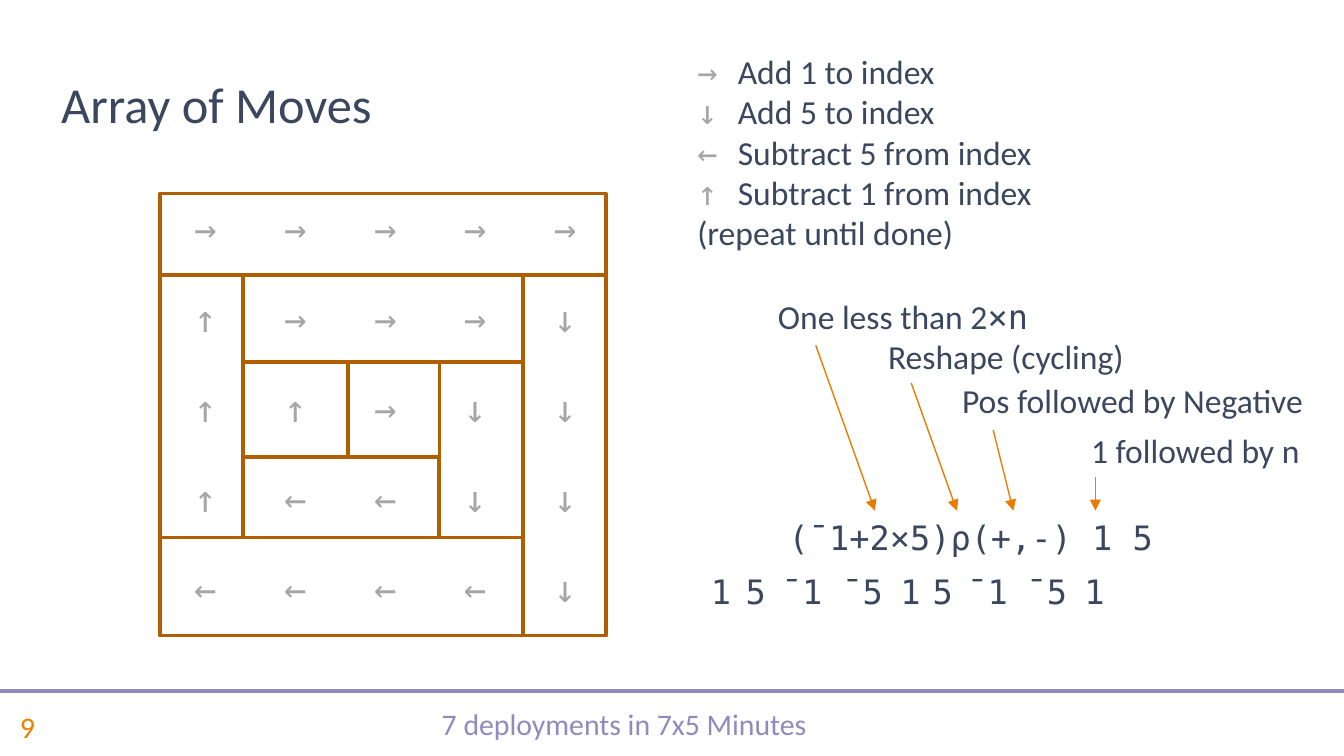
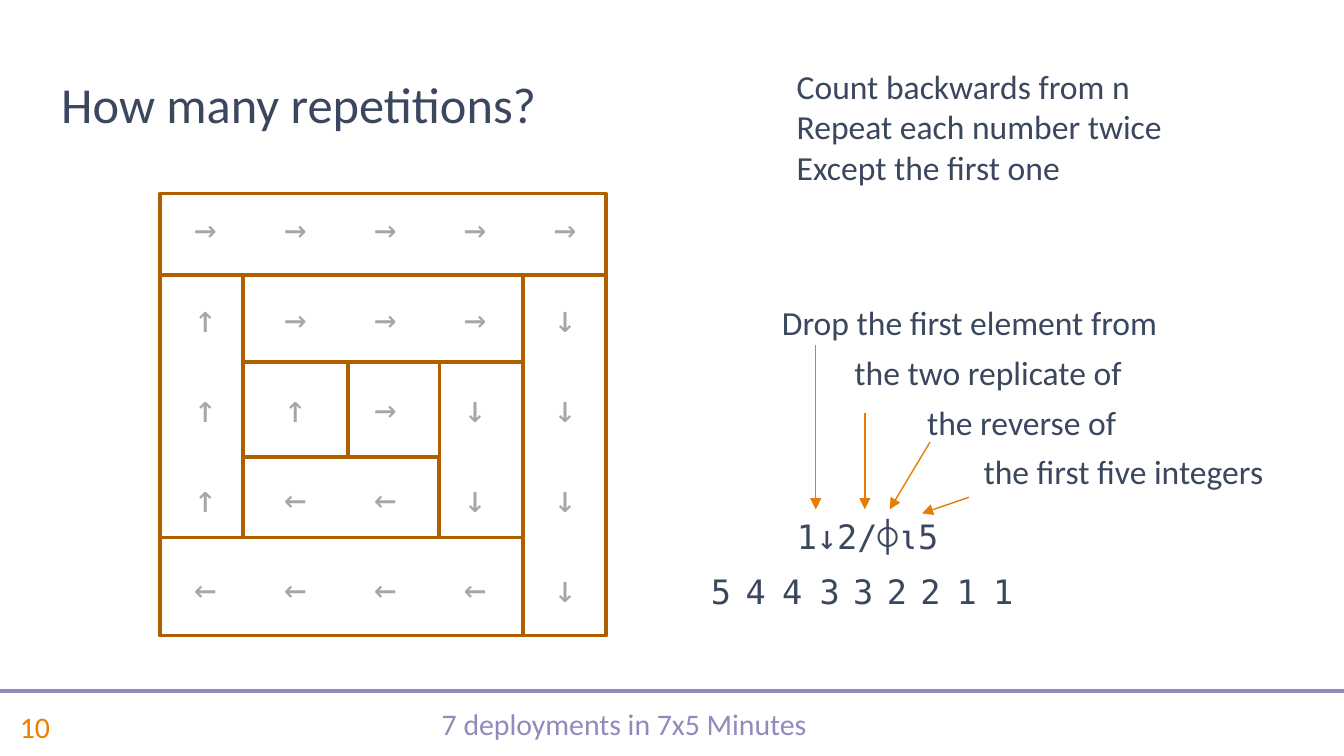
"""Build two slides on walking a spiral array: the moves and their repetitions."""
from pptx import Presentation, util as u
from pptx.dml.color import RGBColor
from pptx.enum import shapes, text
from pptx.oxml.ns import qn
from lxml import etree

NAVY = RGBColor(0x3B, 0x47, 0x5E)
GREY = RGBColor(0xA6, 0xA6, 0xA6)
BROWN = RGBColor(0xAF, 0x5E, 0x00)
ORANGE = RGBColor(0xE8, 0x7C, 0x00)
PAGE_ORANGE = RGBColor(0xED, 0x7F, 0x00)
VIOLET = RGBColor(0x92, 0x8A, 0xBD)

WIDTH = u.Inches(10)
HEIGHT = u.Emu(WIDTH * 9 // 16)
CELL = WIDTH / 100
MONO, SANS = "DejaVu Sans Mono", "Calibri"
FOOTER = "7 deployments in 7x5 Minutes"

BODY = {"name": SANS, "size": u.Pt(18), "color": NAVY}
CODE = {**BODY, "name": MONO}
SYMBOL = {**CODE, "color": GREY}
MOVE = {**SYMBOL, "size": u.Pt(20)}
TITLE = {**BODY, "size": u.Pt(27)}
FOOT = {"name": SANS, "size": u.Pt(16), "color": VIOLET}
PAGE = {**FOOT, "color": PAGE_ORANGE}

MOVES = ["→→→→→", "↑→→→↓", "↑↑→↓↓", "↑←←↓↓", "←←←←↓"]
MOVE_PITCH, MOVE_LINE = 6.69, u.Pt(24.1)
EDGES_X = [11.9, 18.1, 25.9, 32.7, 38.9, 45.1]
EDGES_Y = [14.4, 20.45, 26.95, 34, 40, 47.3]
SPIRAL = [(0, 0, 5, 1), (0, 4, 4, 5), (4, 1, 5, 5), (0, 1, 1, 4), (1, 1, 4, 2),
          (3, 2, 4, 4), (1, 2, 2, 3), (1, 3, 3, 4), (2, 2, 3, 3)]

RESULT_ROW, CAPTION_WIDTH, LINE_HEIGHT = 42, 39.3, 4


def grid(*cells):
    """Convert grid columns or rows to lengths."""
    return [u.Emu(round(cell * CELL)) for cell in cells]


def apply(target, **values):
    """Set each given attribute on the target."""
    for name, value in values.items():
        setattr(target, name, value)


def style(font, look):
    """Give a font its typeface, size and colour."""
    apply(font, name=look["name"], size=look["size"])
    font.color.rgb = look["color"]


def add_words(paragraph, words, look):
    """Append styled words, turning each newline into a line break."""
    for index, part in enumerate(words.split("\n")):
        if index:
            paragraph.add_line_break()
        if part:
            run = paragraph.add_run()
            run.text = part
            style(run.font, look)


def write(slide, at, lines, look=BODY, **frame_format):
    """Add a text box; a line is a string or a list of (string, look) pieces."""
    frame = slide.shapes.add_textbox(*grid(*at)).text_frame
    apply(frame, **{"word_wrap": True,
                    "auto_size": text.MSO_AUTO_SIZE.SHAPE_TO_FIT_TEXT, **frame_format})
    for index, line in enumerate(lines):
        paragraph = frame.add_paragraph() if index else frame.paragraphs[0]
        for words, piece_look in [(line, look)] if isinstance(line, str) else line:
            add_words(paragraph, words, piece_look)
    return frame


def draw_line(slide, start, end, color, weight, arrow=False):
    """Add a straight line, with an arrowhead at its end on request."""
    connector = slide.shapes.add_connector(
        shapes.MSO_CONNECTOR.STRAIGHT, *grid(*start, *end))
    connector.line.color.rgb = color
    connector.line.width = u.Pt(weight)
    if arrow:
        etree.SubElement(connector.line._get_or_add_ln(), qn("a:tailEnd"), type="triangle")
    etree.SubElement(connector._element.spPr, qn("a:effectLst"))


def add_page(deck, heading, number):
    """Add a slide with its title, footer rule, footer and page number."""
    slide = deck.slides.add_slide(deck.slide_layouts[5])
    title = slide.shapes.title
    left, top, width, height = grid(3.55, 2.95, 76.6, 7.5)
    apply(title, left=left, top=top, width=width, height=height)
    title.text_frame.text = heading
    apply(title.text_frame, vertical_anchor=text.MSO_ANCHOR.BOTTOM,
          auto_size=text.MSO_AUTO_SIZE.NONE)
    paragraph = title.text_frame.paragraphs[0]
    paragraph.alignment = text.PP_ALIGN.LEFT
    style(paragraph.runs[0].font, TITLE)

    band = {"vertical_anchor": text.MSO_ANCHOR.MIDDLE,
            "auto_size": text.MSO_AUTO_SIZE.NONE}
    footer = write(slide, (7.8, 51.9, 77.3, 4.35), [FOOTER], FOOT, **band)
    apply(footer.paragraphs[0], alignment=text.PP_ALIGN.CENTER, line_spacing=0.8)
    write(slide, (0.5, 51.9, 7.3, 4.35), [str(number)], PAGE, **band)
    draw_line(slide, (0, 51.4), (100, 51.4), VIOLET, 2.25)
    return slide


def add_spiral(slide):
    """Draw the array of moves and the frames around its spiral arms."""
    margin_x, margin_y = grid(0.75, 0.4)
    moves = write(slide, (13.7, 14.85, 37.7, 34.4), ["\t".join(row) for row in MOVES], MOVE,
                  auto_size=text.MSO_AUTO_SIZE.NONE, margin_left=margin_x,
                  margin_right=margin_x, margin_top=margin_y, margin_bottom=margin_y)
    for index, paragraph in enumerate(moves.paragraphs):
        stops = etree.SubElement(paragraph._p.get_or_add_pPr(), qn("a:tabLst"))
        for stop in grid(*(MOVE_PITCH * column for column in range(1, 5))):
            etree.SubElement(stops, qn("a:tab"), pos=str(stop), algn="l")
        paragraph.line_spacing = MOVE_LINE
        if index:
            paragraph.space_before = MOVE_LINE
    for x1, y1, x2, y2 in SPIRAL:
        left, top = EDGES_X[x1], EDGES_Y[y1]
        arm = slide.shapes.add_shape(
            shapes.MSO_SHAPE.RECTANGLE,
            *grid(left, top, EDGES_X[x2] - left, EDGES_Y[y2] - top))
        arm.shadow.inherit = False
        arm.fill.background()
        arm.line.color.rgb = BROWN
        arm.line.width = u.Pt(2)


def add_result(slide, values, columns):
    """Write the result vector, one box for each value."""
    for value, column in zip(values.split(), columns):
        write(slide, (column, RESULT_ROW, 2 + 1.5 * len(value), LINE_HEIGHT),
              [value], CODE, word_wrap=False)


def add_explanation(slide, formula, formula_at, captions, arrows):
    """Write the formula with captions whose arrows point at its parts."""
    write(slide, (*formula_at, LINE_HEIGHT), [formula], CODE)
    for column, row, caption in captions:
        write(slide, (column, row, CAPTION_WIDTH, LINE_HEIGHT), [caption])
    for start, end in arrows:
        draw_line(slide, start, end, ORANGE, 0.75, arrow=True)


def add_moves_slide(deck):
    """Explain how the array of moves is made."""
    slide = add_page(deck, "Array of Moves", 9)
    add_spiral(slide)
    add_result(slide, "1 5 ¯1 ¯5 1 5 ¯1 ¯5 1",
               [51.9, 54.5, 57.2, 61.7, 66, 68.4, 71, 75.4, 79.7])
    write(slide, (50.9, 3.3, CAPTION_WIDTH, 16.2),
          [[("→ ", SYMBOL), ("Add 1 to index", BODY)],
           [("↓ ", SYMBOL), ("Add 5 to index\n", BODY),
            ("← ", SYMBOL), ("Subtract 5 from index\n", BODY),
            ("↑ ", SYMBOL), ("Subtract 1 from index", BODY)],
           "(repeat until done)"])
    add_explanation(
        slide, "(¯1+2×5)⍴(+,-) 1 5", (57.7, 38, 32.5),
        [(56.9, 21.5, [("One less than 2", BODY), ("×n", CODE)]),
         (65.1, 24.5, "Reshape (cycling)"),
         (70.6, 27.8, "Pos followed by Negative"),
         (80.2, 31.5, "1 followed by n")],
        [((60.7, 25.7), (65.1, 38)), ((67.8, 28.5), (71.2, 38)),
         ((73.9, 32), (75.4, 38)), ((81.5, 35.5), (81.5, 38))])


def add_repetitions_slide(deck):
    """Explain how often each move is repeated."""
    slide = add_page(deck, "How many repetitions?", 10)
    add_spiral(slide)
    add_result(slide, "5 4 4 3 3 2 2 1 1",
               [51.9, 54.5, 57.2, 60, 62.5, 65, 67.5, 70.2, 72.9])
    write(slide, (58.3, 4.4, CAPTION_WIDTH, 10.1),
          ["Count backwards from n\nRepeat each number twice\nExcept the first one"])
    add_explanation(
        slide, "1↓2/⌽⍳5", (58.3, 37.9, 15.9),
        [(57.2, 22, "Drop the first element from"),
         (62.6, 25.7, "the two replicate of"),
         (68, 29.4, "the reverse of"),
         (72.2, 33.1, "the first five integers")],
        [((60.7, 25.7), (60.7, 37.9)), ((64.35, 30.7), (64.35, 37.9)),
         ((69.2, 32.9), (66.2, 37.9)), ((72.1, 37), (68.6, 38.2))])


def main():
    """Build and save the deck."""
    deck = Presentation()
    apply(deck, slide_width=WIDTH, slide_height=HEIGHT)
    add_moves_slide(deck)
    add_repetitions_slide(deck)
    deck.save("out.pptx")


if __name__ == "__main__":
    main()
